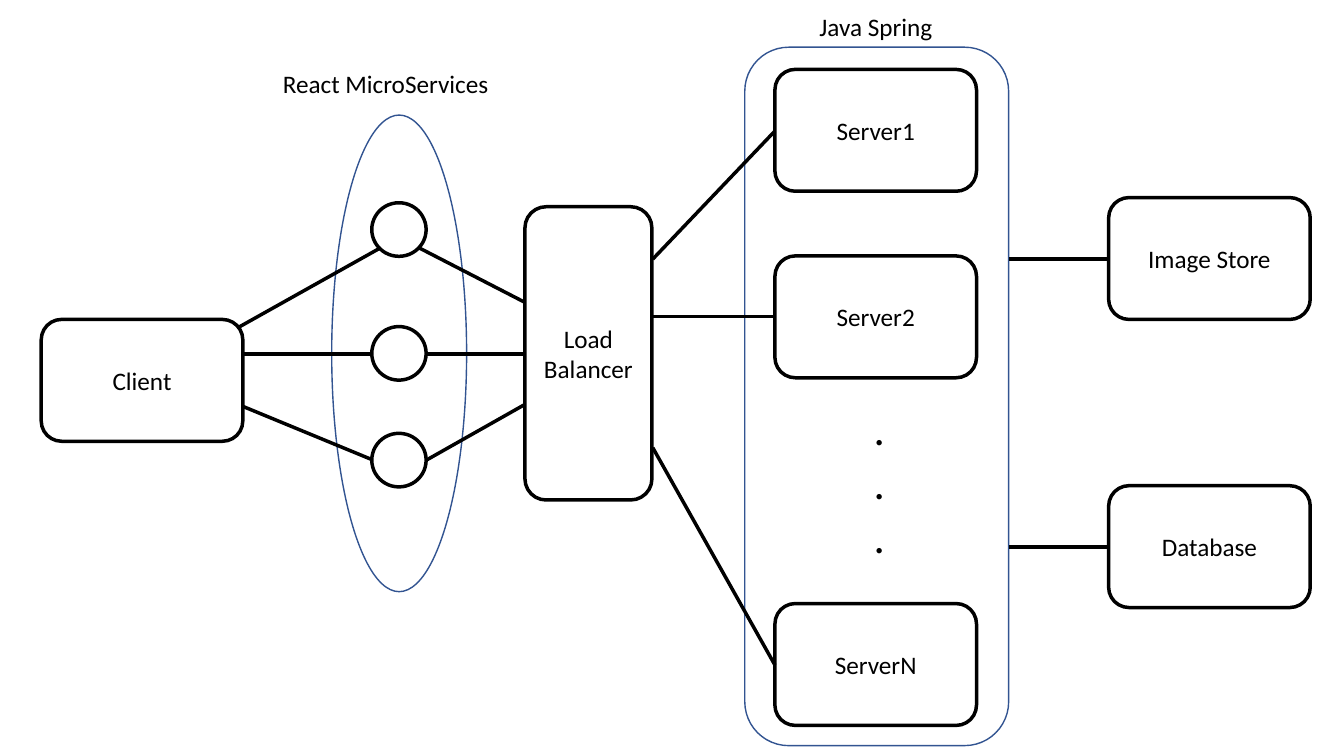
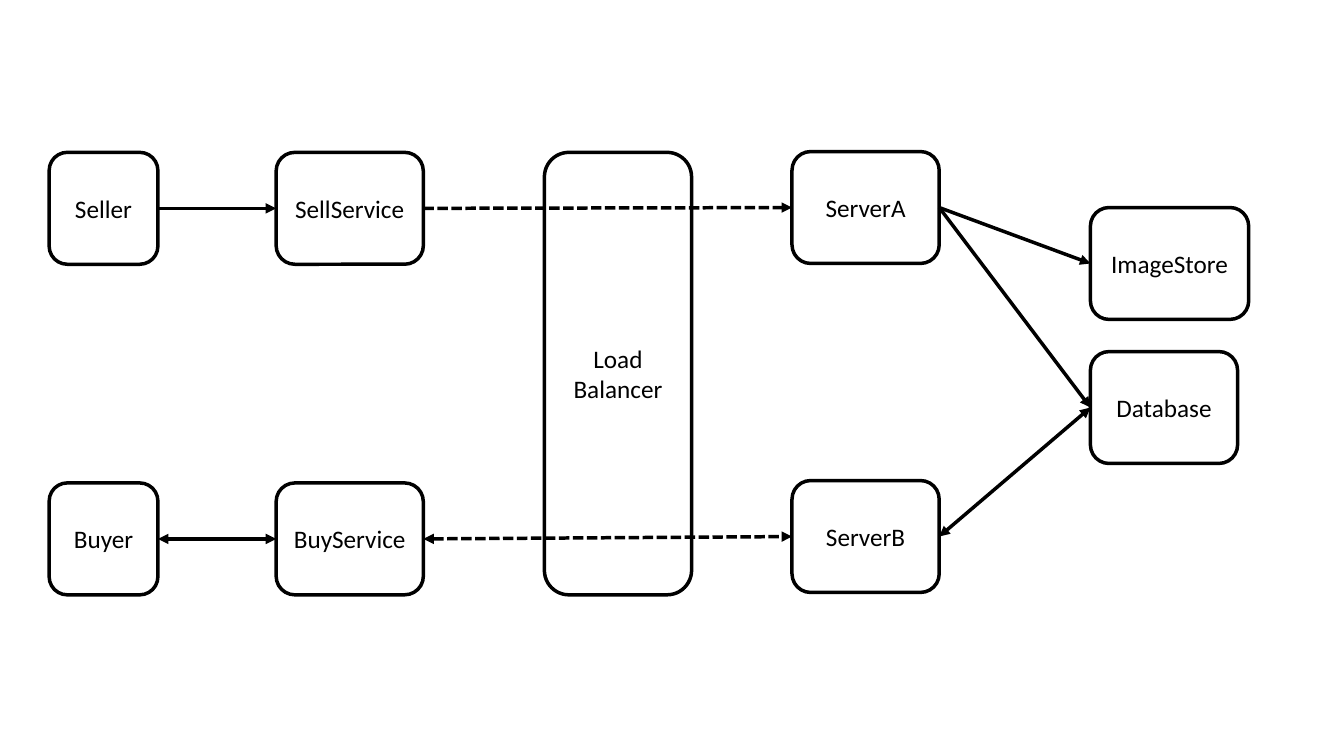
from dataclasses import dataclass

from lxml import etree
from pptx import Presentation
from pptx import util as u
from pptx.dml import color
from pptx.enum import dml, shapes, text
from pptx.oxml import ns

BLANK_LAYOUT = 6
LEFT_SIDE, RIGHT_SIDE = 1, 3


@dataclass(frozen=True)
class Theme:
    font: str = "Calibri"
    ink: str = "000000"
    group: str = "325491"
    body_size: float = 18
    dots_size: float = 32
    line: float = 2.5
    group_line: float = 1


THEME = Theme()
ROUNDED = shapes.MSO_SHAPE.ROUNDED_RECTANGLE
OVAL = shapes.MSO_SHAPE.OVAL


def write(frame, lines, size=THEME.body_size, align=text.PP_ALIGN.LEFT,
          anchor=text.MSO_ANCHOR.TOP, wrap=True):
    """Fill a text frame, one paragraph for each line of the text."""
    frame.word_wrap = wrap
    frame.vertical_anchor = anchor
    frame.text = lines
    for paragraph in frame.paragraphs:
        paragraph.alignment = align
        paragraph.font.name = THEME.font
        paragraph.font.size = u.Pt(size)
        paragraph.font.color.rgb = color.RGBColor.from_string(THEME.ink)


def outline(slide, kind, left, top, width, height,
            ink=THEME.ink, weight=THEME.line):
    """Draw an unfilled shape, placed in centimetres."""
    shape = slide.shapes.add_shape(
        kind, u.Cm(left), u.Cm(top), u.Cm(width), u.Cm(height))
    shape.shadow.inherit = False
    shape.fill.background()
    shape.line.color.rgb = color.RGBColor.from_string(ink)
    shape.line.width = u.Pt(weight)
    return shape


def box(slide, name, left, top, width, height):
    node = outline(slide, ROUNDED, left, top, width, height)
    write(node.text_frame, name, align=text.PP_ALIGN.CENTER,
          anchor=text.MSO_ANCHOR.MIDDLE)
    return node


def group(slide, kind, left, top, width, height):
    return outline(slide, kind, left, top, width, height,
                   THEME.group, THEME.group_line)


def label(slide, lines, left, top, width, height, **text_format):
    caption = slide.shapes.add_textbox(
        u.Cm(left), u.Cm(top), u.Cm(width), u.Cm(height))
    write(caption.text_frame, lines, **text_format)


def connect(slide, start, end, arrows=(), dashed=False):
    """Draw a straight line; arrows may hold "headEnd" and "tailEnd"."""
    link = slide.shapes.add_connector(
        shapes.MSO_CONNECTOR.STRAIGHT, *(u.Cm(n) for n in (*start, *end)))
    link.line.color.rgb = color.RGBColor.from_string(THEME.ink)
    link.line.width = u.Pt(THEME.line)
    if dashed:
        link.line.dash_style = dml.MSO_LINE.SQUARE_DOT
    properties = link.element.spPr
    for arrow in arrows:
        etree.SubElement(properties.get_or_add_ln(), ns.qn(f"a:{arrow}"),
                         type="triangle")
    etree.SubElement(properties, ns.qn("a:effectLst"))
    return link


def join(slide, source, target, both_ways=False, dashed=False):
    """Glue an arrow from the right of one box to the left of another."""
    arrows = ("headEnd", "tailEnd") if both_ways else ("tailEnd",)
    arrow = connect(slide, (0, 0), (0, 0), arrows, dashed)
    arrow.begin_connect(source, RIGHT_SIDE)
    arrow.end_connect(target, LEFT_SIDE)


def architecture(slide):
    node_width, node_height = 5.08, 3.07
    servers_left, stores_left = 19.53, 27.94
    client_right, balancer_left, balancer_right = 6.12, 13.23, 16.45
    services_left, services_right = 9.37, 10.77
    java_left, java_width = 18.77, 6.65

    # Client, servers and stores
    for name, left, top in (
            ("Client", 1.04, 8.05),
            ("Server1", servers_left, 1.75),
            ("Server2", servers_left, 6.45),
            ("ServerN", servers_left, 15.21),
            ("Image Store", stores_left, 4.98),
            ("Database", stores_left, 12.24)):
        box(slide, name, left, top, node_width, node_height)
    label(slide, ".\n.\n.", 21.77, 9.98, 0.81, 4.37,
          size=THEME.dots_size, wrap=False)

    # Microservices and load balancer
    for top in (5.11, 8.23, 10.92):
        outline(slide, OVAL, services_left, top, 1.37, 1.35)
    box(slide, "Load Balancer", balancer_left, 5.21, 3.2, 7.39)

    # Groups and their captions
    group(slide, OVAL, 8.36, 2.9, 3.4, 12.01)
    label(slide, "React MicroServices", 6.88, 1.6, 7.04, 1.02)
    group(slide, ROUNDED, java_left, 1.19, java_width, 17.6)
    label(slide, "Java Spring", 20.4, 0.15, 3.4, 1.02, wrap=False)

    # Client to microservices to load balancer
    for start, end in (
            ((5.99, 8.26), (9.58, 6.25)),
            ((client_right, 8.92), (services_left, 8.92)),
            ((client_right, 10.24), (services_left, 11.58)),
            ((10.57, 6.25), (balancer_left, 7.62)),
            ((services_right, 8.92), (balancer_left, 8.92)),
            ((services_right, 11.58), (balancer_left, 10.19))):
        connect(slide, start, end)

    # Load balancer to servers, servers to stores
    for start_y, server_y in ((6.53, 3.3), (7.98, 7.98), (11.28, 16.76)):
        connect(slide, (balancer_right, start_y), (servers_left, server_y))
    for store_y in (6.53, 13.78):
        connect(slide, (stores_left, store_y),
                (java_left + java_width, store_y))


def request_flow(slide):
    height, width = 2.82, 3.71
    people_left, services_left, servers_left, stores_left = (
        1.24, 6.96, 19.96, 27.48)
    sell_top, buy_top = 3.84, 12.17

    # People, services, servers and stores
    seller = box(slide, "Seller", people_left, sell_top, 2.74, height)
    buyer = box(slide, "Buyer", people_left, buy_top, 2.74, height)
    sell = box(slide, "SellService", services_left, sell_top, width, height)
    buy = box(slide, "BuyService", services_left, buy_top, width, height)
    box(slide, "Load Balancer", 13.72, sell_top, width,
        buy_top + height - sell_top)
    server_a = box(slide, "ServerA", servers_left, 3.82, width, height)
    server_b = box(slide, "ServerB", servers_left, 12.11, width, height)
    images = box(slide, "ImageStore", stores_left, 5.23, 3.99, height)
    database = box(slide, "Database", stores_left, 8.86, width, height)

    # Selling sends data one way
    join(slide, seller, sell)
    join(slide, sell, server_a, dashed=True)
    join(slide, server_a, images)
    join(slide, server_a, database)

    # Buying goes both ways
    join(slide, buyer, buy, both_ways=True)
    join(slide, buy, server_b, both_ways=True, dashed=True)
    join(slide, server_b, database, both_ways=True)


def main():
    deck = Presentation()
    deck.slide_width, deck.slide_height = u.Cm(33.87), u.Cm(19.05)
    for draw in (architecture, request_flow):
        draw(deck.slides.add_slide(deck.slide_layouts[BLANK_LAYOUT]))
    deck.save("out.pptx")


main()
